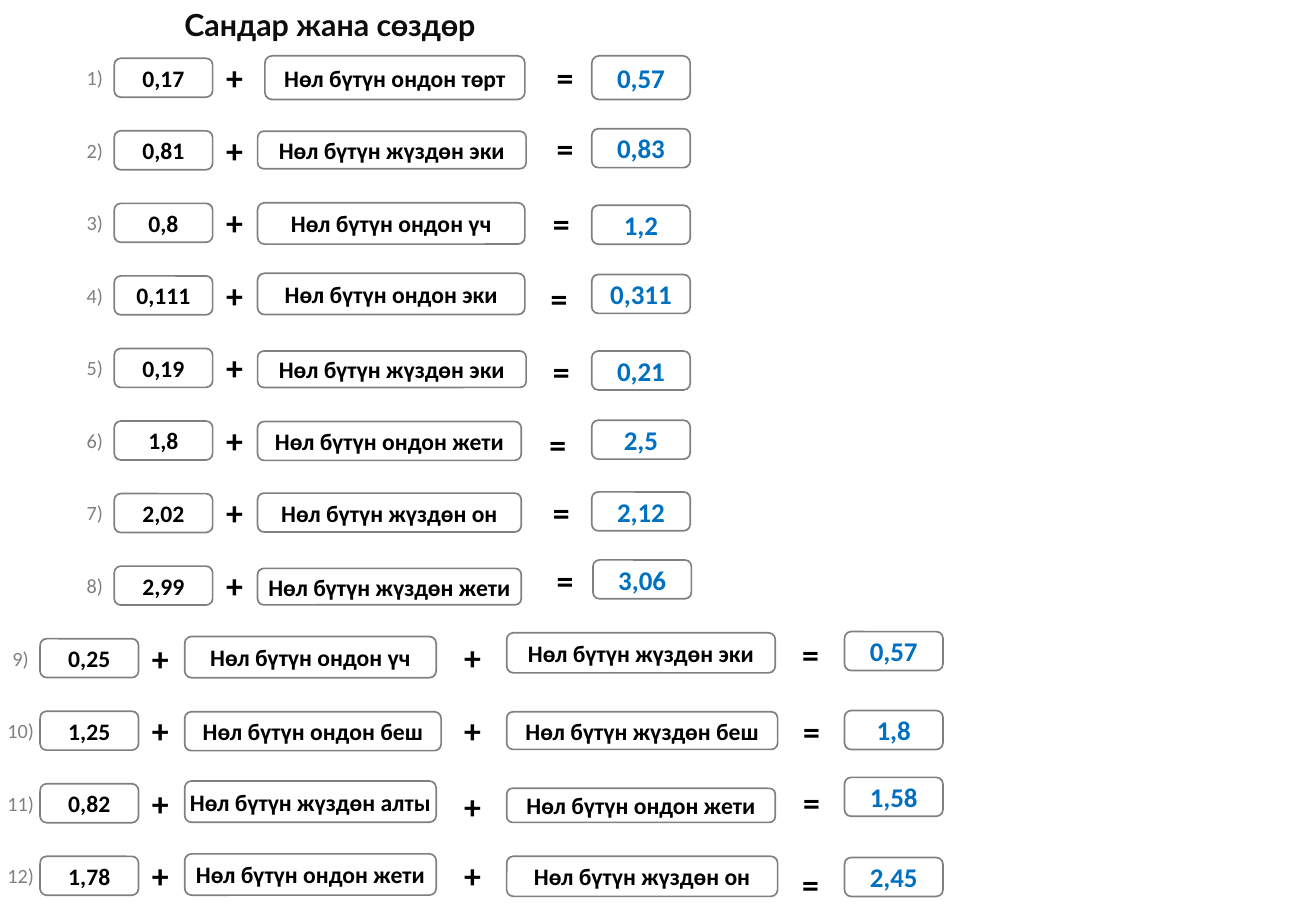
from pptx import Presentation
from pptx import util as u
from pptx.dml import color
from pptx.enum import shapes, text

INK = color.RGBColor(0, 0, 0)
TITLE_INK = color.RGBColor(0x0D, 0x0D, 0x0D)
GRAY = color.RGBColor(0x80, 0x80, 0x80)
BLUE = color.RGBColor(0x00, 0x70, 0xC0)

FIRST_TOP, LAST_TOP = 0.48, 7.05
BOX_WIDTH, BOX_HEIGHT = 0.81, 0.32
SIGN_SIZE = (0.34, 0.44)

SHORT_SUMS = [
    ("0,17", [("Нөл бүтүн ондон төрт", (2.18, 0.46, 2.14, 0.36))], (4.48, 0.42), "0,57", (4.87, 0.46, 0.36)),
    ("0,81", [("Нөл бүтүн жүздөн эки", (2.12, 1.08, 2.21, 0.31))], (4.48, 1.0), "0,83", (4.87, 1.06, 0.32)),
    ("0,8", [("Нөл бүтүн ондон үч", (2.12, 1.67, 2.2, 0.34))], (4.45, 1.62), "1,2", (4.87, 1.69, 0.32)),
    ("0,111", [("Нөл бүтүн ондон эки", (2.12, 2.25, 2.2, 0.34))], (4.43, 2.24), "0,311", (4.87, 2.26, 0.32)),
    ("0,19", [("Нөл бүтүн жүздөн эки", (2.12, 2.89, 2.21, 0.3))], (4.45, 2.84), "0,21", (4.87, 2.89, 0.32)),
    ("1,8", [("Нөл бүтүн ондон жети", (2.12, 3.47, 2.17, 0.32))], (4.42, 3.44), "2,5", (4.87, 3.46, 0.32)),
    ("2,02", [("Нөл бүтүн жүздөн он", (2.12, 4.06, 2.17, 0.32))], (4.45, 4.0), "2,12", (4.87, 4.05, 0.32)),
    ("2,99", [("Нөл бүтүн жүздөн жети", (2.12, 4.68, 2.17, 0.3))], (4.48, 4.56), "3,06", (4.88, 4.61, 0.32)),
]
LONG_SUMS = [
    ("0,25", [("Нөл бүтүн ондон үч", (1.52, 5.24, 2.07, 0.34)),
              ("Нөл бүтүн жүздөн эки", (4.17, 5.21, 2.21, 0.33))], (6.5, 5.17), "0,57", (6.95, 5.2, 0.32)),
    ("1,25", [("Нөл бүтүн ондон беш", (1.52, 5.86, 2.11, 0.32)),
              ("Нөл бүтүн жүздөн беш", (4.17, 5.86, 2.23, 0.31))], (6.51, 5.8), "1,8", (6.95, 5.85, 0.32)),
    ("0,82", [("Нөл бүтүн жүздөн алты", (1.52, 6.43, 2.07, 0.34)),
              ("Нөл бүтүн ондон жети", (4.17, 6.49, 2.21, 0.28))], (6.51, 6.39), "1,58", (6.95, 6.4, 0.32)),
    ("1,78", [("Нөл бүтүн ондон жети", (1.52, 7.03, 2.07, 0.34)),
              ("Нөл бүтүн жүздөн он", (4.17, 7.05, 2.23, 0.33))], (6.5, 7.06), "2,45", (6.95, 7.06, 0.32)),
]
SECOND_PLUS_TOPS = [5.19, 5.79, 6.42, 6.99]


class SumSheet:
    """Draws titles, labels and rounded boxes on one slide in a shared style."""

    LABEL_FRAME = {"word_wrap": False, "auto_size": text.MSO_AUTO_SIZE.SHAPE_TO_FIT_TEXT,
                   "vertical_anchor": text.MSO_ANCHOR.TOP}
    BOX_FRAME = {"word_wrap": True, "vertical_anchor": text.MSO_ANCHOR.MIDDLE,
                 "margin_left": 0, "margin_top": 0, "margin_right": 0, "margin_bottom": 0}

    def __init__(self, presentation):
        self.slide = presentation.slides.add_slide(presentation.slide_layouts[5])

    def set_text(self, shape, words, frame_format, size, ink, bold=True, name="Calibri"):
        frame = shape.text_frame
        for key, value in frame_format.items():
            setattr(frame, key, value)
        paragraph = frame.paragraphs[0]
        paragraph.text = words
        paragraph.alignment = text.PP_ALIGN.CENTER
        for key, value in {"size": u.Pt(size), "bold": bold, "name": name}.items():
            setattr(paragraph.font, key, value)
        paragraph.font.color.rgb = ink

    def title(self, words, place):
        shape = self.slide.shapes.title
        for key, value in zip(("left", "top", "width", "height"), place):
            setattr(shape, key, u.Inches(value))
        self.set_text(shape, words, self.LABEL_FRAME, 18, TITLE_INK, name="Lato")

    def label(self, words, place, size=20, ink=INK, bold=True):
        shape = self.slide.shapes.add_textbox(*map(u.Inches, place))
        self.set_text(shape, words, self.LABEL_FRAME, size, ink, bold)

    def box(self, words, place, size=14, ink=INK):
        shape = self.slide.shapes.add_shape(shapes.MSO_SHAPE.ROUNDED_RECTANGLE, *map(u.Inches, place))
        shape.shadow.inherit = False
        shape.fill.background()
        shape.line.color.rgb = GRAY
        shape.line.width = u.Pt(1)
        self.set_text(shape, words, self.BOX_FRAME, size, ink)


def main():
    presentation = Presentation()
    presentation.slide_width = u.Inches(10.83)
    presentation.slide_height = u.Inches(7.5)
    sheet = SumSheet(presentation)
    sheet.title("Сандар жана сөздөр", (1.39, 0, 2.65, 0.4))

    sums = SHORT_SUMS + LONG_SUMS
    pitch = (LAST_TOP - FIRST_TOP) / (len(sums) - 1)
    for index, (number, terms, equals, result, (result_left, result_top, result_height)) in enumerate(sums):
        top = FIRST_TOP + index * pitch
        left = 0.94 if len(terms) == 1 else 0.33
        label_width = 0.34 if index < 9 else 0.42
        sheet.label(f"{index + 1})", (left - 0.16 - label_width / 2, top + 0.01, label_width, 0.3),
                    12, GRAY, False)
        sheet.box(number, (left, top, BOX_WIDTH, BOX_HEIGHT))
        sheet.label("+", (left + 0.82, top - 0.06, *SIGN_SIZE))
        for words, place in terms:
            sheet.box(words, place)
        sheet.label("=", (*equals, *SIGN_SIZE))
        sheet.box(result, (result_left, result_top, BOX_WIDTH, result_height), 16, BLUE)
    for plus_top in SECOND_PLUS_TOPS:
        sheet.label("+", (3.72, plus_top, *SIGN_SIZE))
    presentation.save("out.pptx")


if __name__ == "__main__":
    main()
